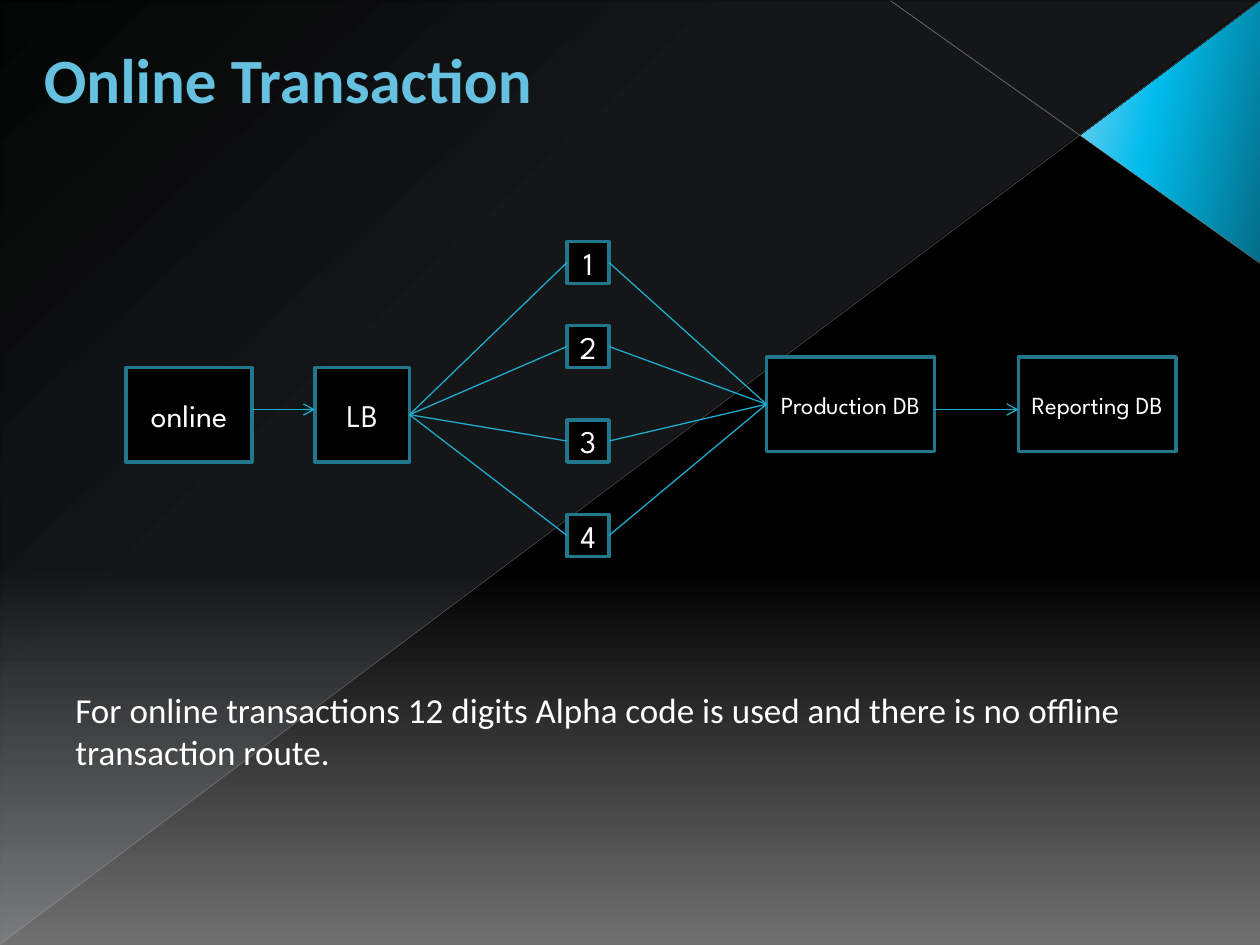
from dataclasses import dataclass

from lxml import etree
from pptx import Presentation
from pptx.dml.color import RGBColor
from pptx.enum.shapes import MSO_CONNECTOR, MSO_SHAPE
from pptx.enum.text import MSO_ANCHOR, PP_ALIGN
from pptx.oxml.ns import qn
from pptx.util import Pt

STRAIGHT = MSO_CONNECTOR.STRAIGHT
RECTANGLE = MSO_SHAPE.RECTANGLE
TRIANGLE = MSO_SHAPE.ISOSCELES_TRIANGLE
RIGHT_TRIANGLE = MSO_SHAPE.RIGHT_TRIANGLE
MIDDLE, TOP = MSO_ANCHOR.MIDDLE, MSO_ANCHOR.TOP
CENTER, LEFT = PP_ALIGN.CENTER, PP_ALIGN.LEFT
LEFT_SIDE, RIGHT_SIDE = 1, 3


@dataclass(frozen=True)
class Theme:
    """Colours, fonts and sizes of the slide."""
    title: str = "66C0E0"
    title_outline: str = "1F7084"
    text: str = "FFFFFF"
    box: str = "000000"
    border: str = "21788D"
    link: str = "1EABCE"
    backdrop: tuple = ((0, "000000", 100), (60, "000000", 100), (100, "707070", 100))
    sheen: tuple = ((0, "DEF5FA", 10), (70, "DEF5FA", 8), (100, "DEF5FA", 1))
    accent: tuple = ((0, "036E89", 100), (60, "01BCEB", 100), (100, "7CD1F2", 100))
    body_font: str = "Calibri"
    box_font: str = "League Spartan"
    title_size: int = 36
    body_size: int = 20
    box_size: int = 18
    database_size: int = 14


THEME = Theme()


def set_gradient(fill, element, stops, angle):
    """Fill with a linear gradient at a clockwise angle; stops are (percent, colour, opacity)."""
    fill.gradient()
    fill.gradient_angle = -angle % 360
    stop_list = next(element.iter(qn("a:gsLst")))
    for stop in list(stop_list):
        stop_list.remove(stop)
    for position, color, opacity in stops:
        stop = etree.SubElement(stop_list, qn("a:gs"), pos=str(position * 1000))
        value = etree.SubElement(stop, qn("a:srgbClr"), val=color)
        etree.SubElement(value, qn("a:alpha"), val=str(opacity * 1000))


def add_line(slide, start, end, color, width, opacity=100, arrow=False):
    """Draw a straight line between two points."""
    line = slide.shapes.add_connector(STRAIGHT, *(Pt(value) for value in start + end))
    line.line.width = Pt(width)
    line.line.fill.solid()
    line.line.fill.fore_color.rgb = RGBColor.from_string(color)
    properties = line.element.spPr
    outline = properties.find(qn("a:ln"))
    if opacity < 100:
        value = next(outline.iter(qn("a:srgbClr")))
        etree.SubElement(value, qn("a:alpha"), val=str(opacity * 1000))
    if arrow:
        etree.SubElement(outline, qn("a:tailEnd"), type="arrow")
    etree.SubElement(properties, qn("a:effectLst"))
    return line


def add_facet(slide, kind, box, stops, angle, rotation=0):
    """Draw an upside-down gradient triangle without an outline."""
    shape = slide.shapes.add_shape(kind, *(Pt(value) for value in box))
    shape.shadow.inherit = False
    shape.line.fill.background()
    shape.rotation = rotation
    shape.element.spPr.find(qn("a:xfrm")).set("flipV", "1")
    set_gradient(shape.fill, shape.element, stops, angle)
    return shape


def set_text(shape, text, font, size, color, align, anchor, bold=False):
    """Write one formatted paragraph into a shape and return its run."""
    frame = shape.text_frame
    frame.text = text
    frame.word_wrap = True
    frame.vertical_anchor = anchor
    paragraph = frame.paragraphs[0]
    paragraph.alignment = align
    run = paragraph.runs[0]
    run.font.name = font
    run.font.size = Pt(size)
    run.font.bold = bold
    run.font.color.rgb = RGBColor.from_string(color)
    return run


def add_backdrop(slide, width, height):
    """Paint the background, its facets and its crossing lines."""
    background = slide.background.fill
    set_gradient(background, slide.element, THEME.backdrop, 90)
    add_facet(slide, RIGHT_TRIANGLE, (0.5, 0.5, width - 1, height - 1), THEME.sheen, 133)
    corner = add_facet(slide, TRIANGLE, (594.5, 24.5, 149, 102), THEME.accent, 258, 90)
    corner.adjustments[0] = 0.513
    add_line(slide, (width, 150.5), (509, 0.5), "C1C1C1", 0.47, 45)
    add_line(slide, (0, height - 0.5), (width - 0.5, 0.5), "B9B9B9", 0.39, 35)


def add_title(slide, box):
    """Write the outlined title."""
    title = slide.shapes.add_textbox(*(Pt(value) for value in box))
    run = set_text(title, "Online Transaction", THEME.body_font, THEME.title_size,
                   THEME.title, LEFT, MIDDLE, bold=True)
    outline = etree.Element(qn("a:ln"), w=str(Pt(0.5)))
    fill = etree.SubElement(outline, qn("a:solidFill"))
    etree.SubElement(fill, qn("a:srgbClr"), val=THEME.title_outline)
    run.font._element.insert(0, outline)


def add_box(slide, text, box, size=THEME.box_size):
    """Draw one bordered box with a centred label."""
    shape = slide.shapes.add_shape(RECTANGLE, *(Pt(value) for value in box))
    shape.shadow.inherit = False
    shape.fill.solid()
    shape.fill.fore_color.rgb = RGBColor.from_string(THEME.box)
    shape.line.color.rgb = RGBColor.from_string(THEME.border)
    shape.line.width = Pt(2)
    frame = shape.text_frame
    frame.margin_left = frame.margin_right = frame.margin_top = frame.margin_bottom = 0
    set_text(shape, text, THEME.box_font, size, THEME.text, CENTER, MIDDLE)
    return shape


def join(slide, start, start_side, end, end_side):
    """Connect the side middles of two boxes."""
    line = add_line(slide, (0, 0), (0, 0), THEME.link, 0.75)
    line.begin_connect(start, start_side)
    line.end_connect(end, end_side)


def add_flow(slide, left, top):
    """Draw the route from the online box through four servers to the databases."""
    row = top + 72
    database_row = top + 66
    add_box(slide, "online", (left, row, 72, 54))
    balancer = add_box(slide, "LB", (left + 108, row, 54, 54))
    production = add_box(slide, "Production DB", (left + 366, database_row, 96, 54),
                         THEME.database_size)
    add_box(slide, "Reporting DB", (left + 510, database_row, 90, 54), THEME.database_size)
    for start, end in ((72, 108), (462, 510)):
        add_line(slide, (left + start, top + 96), (left + end, top + 96),
                 THEME.link, 0.75, arrow=True)
    for number, offset in enumerate((0, 48, 102, 156), 1):
        server = add_box(slide, str(number), (left + 252, top + offset, 24, 24))
        join(slide, balancer, RIGHT_SIDE, server, LEFT_SIDE)
        join(slide, production, LEFT_SIDE, server, RIGHT_SIDE)


def add_note(slide, box):
    """Write the explanation below the flow."""
    note = slide.shapes.add_textbox(*(Pt(value) for value in box))
    set_text(note, "For online transactions 12 digits Alpha code is used and there is "
             "no offline transaction route.", THEME.body_font, THEME.body_size,
             THEME.text, LEFT, TOP)


def main():
    """Build and save the slide."""
    presentation = Presentation()
    width, height = 720, 540
    presentation.slide_width, presentation.slide_height = Pt(width), Pt(height)
    slide = presentation.slides.add_slide(presentation.slide_layouts[6])
    add_backdrop(slide, width, height)
    add_title(slide, (18, 18, 342, 54))
    add_flow(slide, 72, 138)
    add_note(slide, (36, 390, 648, 80))
    presentation.save("out.pptx")


if __name__ == "__main__":
    main()
